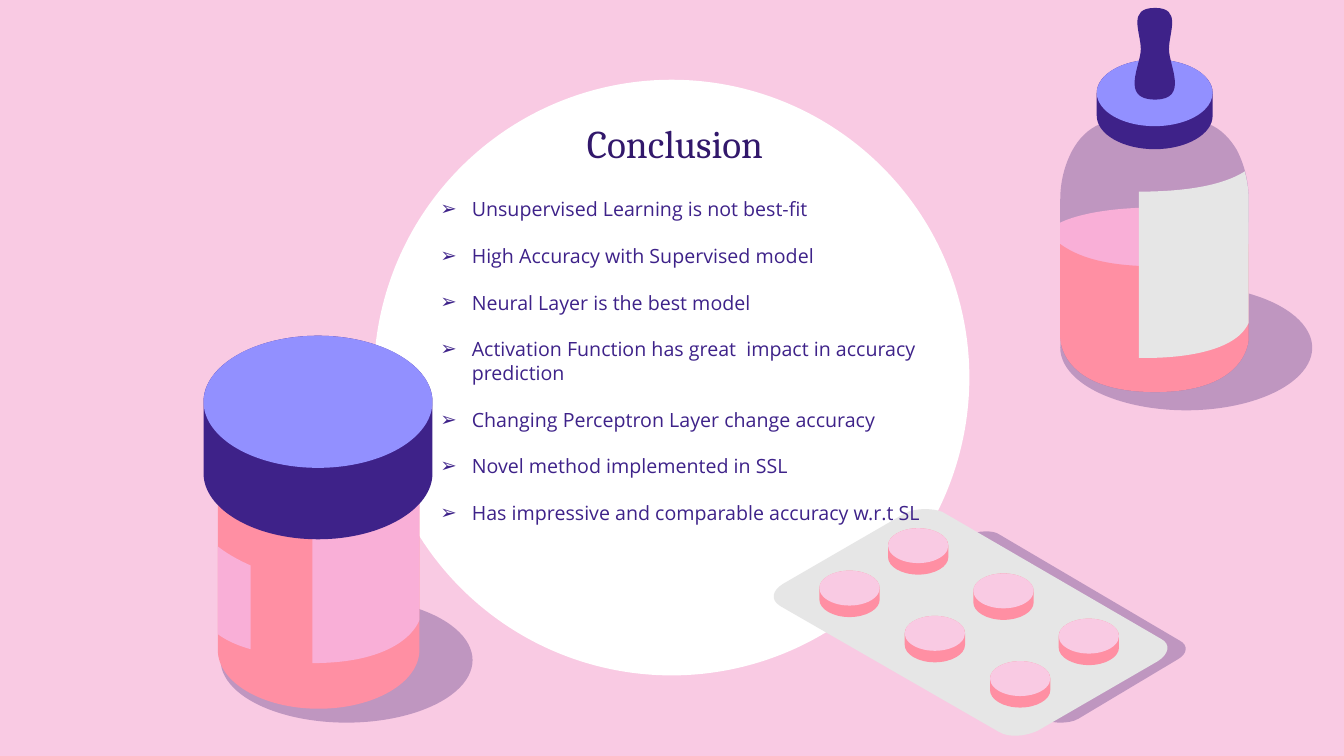
from lxml.etree import SubElement
from pptx import Presentation
from pptx.dml.color import RGBColor
from pptx.enum.shapes import MSO_SHAPE
from pptx.enum.text import MSO_ANCHOR, MSO_AUTO_SIZE, PP_ALIGN
from pptx.oxml.ns import qn
from pptx.util import Cm, Pt

WHITE = RGBColor(0xFF, 0xFF, 0xFF)
BLUSH = RGBColor(0xF9, 0xCA, 0xE3)
PINK = RGBColor(0xF9, 0xAF, 0xD7)
CORAL = RGBColor(0xFF, 0x8F, 0xA3)
GRAY = RGBColor(0xE6, 0xE6, 0xE6)
LILAC = RGBColor(0x92, 0x90, 0xFF)
PURPLE = RGBColor(0x3E, 0x22, 0x89)
INDIGO = RGBColor(0x32, 0x18, 0x6B)
SHADE = 29  # opacity of shadows and glass, in percent
ROUND = 0.55  # handle length of a quarter ellipse

prs = Presentation()
prs.slide_width, prs.slide_height = Cm(33.87), Cm(19.05)
slide = prs.slides.add_slide(prs.slide_layouts[1])
slide.background.fill.solid()
slide.background.fill.fore_color.rgb = BLUSH
shapes = slide.shapes


def paint(shape, color, opacity=100):
    shape.shadow.inherit = False
    shape.line.fill.background()
    shape.fill.solid()
    shape.fill.fore_color.rgb = color
    if opacity < 100:
        tint = shape.fill._xPr.find(qn("a:solidFill"))[0]
        SubElement(tint, qn("a:alpha")).set("val", str(opacity * 1000))


def draw_outline(start, steps, color, opacity=100):
    """Steps in cm: (x, y) is a line, six numbers are a cubic curve."""
    builder = shapes.build_freeform(Cm(start[0]), Cm(start[1]), scale=1.0)
    for step in steps:
        builder.add_line_segments(
            [(Cm(x), Cm(y)) for x, y in zip(step[::2], step[1::2])], close=False)
    builder.add_line_segments([], close=True)
    shape = builder.convert_to_shape()
    # Merge the three segments of each curve into one cubic Bézier
    segments = iter(list(shape._element.iter(qn("a:lnTo"))))
    for step in steps:
        group = [next(segments) for _ in step[::2]]
        if len(group) == 3:
            outline = group[0].getparent()
            curve = SubElement(outline, qn("a:cubicBezTo"))
            group[0].addprevious(curve)
            for segment in group:
                curve.append(segment[0])
                outline.remove(segment)
    paint(shape, color, opacity)


# White disc and the shadows of the two bottles
for x, y, w, h, color, opacity in [
    (9.42, 2.01, 15.01, 15.01, WHITE, 100),
    (5.56, 15.06, 6.35, 3.15, INDIGO, SHADE),
    (26.72, 7.19, 6.35, 3.15, INDIGO, SHADE),
]:
    paint(shapes.add_shape(MSO_SHAPE.OVAL, Cm(x), Cm(y), Cm(w), Cm(h)), color, opacity)

# Pill jar: body, left label, right label
draw_outline((8.03, 10.46), [
    (6.63, 10.46, 5.49, 11.12, 5.49, 11.94), (5.49, 16.38),
    (5.49, 17.2, 6.63, 17.86, 8.03, 17.86),
    (9.43, 17.86, 10.57, 17.2, 10.57, 16.38), (10.57, 11.94),
    (10.57, 11.12, 9.43, 10.46, 8.03, 10.46)], CORAL)
draw_outline((5.49, 13.77), [
    (5.49, 15.98), (5.49, 15.98, 5.77, 16.21, 6.32, 16.36), (6.32, 14.25),
    (6.32, 14.25, 5.84, 14.05, 5.49, 13.77)], PINK)
draw_outline((10.54, 11.81), [
    (7.87, 12.73), (7.87, 16.71), (10.26, 16.71, 10.57, 15.62, 10.57, 15.62),
    (10.57, 11.94)], PINK)

# Blister pack: shadow, tray
draw_outline((24.84, 13.39), [
    (24.66, 13.39, 24.51, 13.44, 24.38, 13.51), (21.87, 14.99),
    (21.62, 15.11, 21.59, 15.34, 21.79, 15.44), (26.37, 18.14),
    (26.47, 18.19, 26.59, 18.21, 26.72, 18.21),
    (26.87, 18.21, 27.05, 18.19, 27.18, 18.11), (29.69, 16.61),
    (29.92, 16.48, 29.95, 16.26, 29.74, 16.15), (25.17, 13.46),
    (25.1, 13.41, 24.97, 13.39, 24.84, 13.39)], INDIGO, SHADE)
draw_outline((23.32, 12.83), [
    (23.14, 12.83, 22.94, 12.85, 22.78, 12.95), (19.74, 14.71),
    (19.46, 14.88, 19.41, 15.11, 19.66, 15.27), (25.17, 18.44),
    (25.3, 18.52, 25.45, 18.54, 25.6, 18.54),
    (25.78, 18.54, 25.98, 18.49, 26.14, 18.42), (29.18, 16.66),
    (29.46, 16.48, 29.51, 16.23, 29.26, 16.1), (23.75, 12.9),
    (23.62, 12.85, 23.47, 12.83, 23.32, 12.83)], GRAY)

# Dropper bottle: glass, liquid surface, liquid
bottle_base = [(26.72, 8.53), (26.72, 8.53, 26.72, 9.88, 29.11, 9.88),
               (31.47, 9.88, 31.47, 8.53, 31.47, 8.53)]
draw_outline((29.11, 2.79), [
    (29.11, 2.79, 28.58, 2.79, 27.74, 3.12), (27.41, 3.25, 27.18, 3.51, 27.03, 3.78),
    (26.82, 4.17, 26.72, 4.6, 26.72, 5.03), *bottle_base, (31.47, 5.03),
    (31.47, 4.6, 31.37, 4.17, 31.17, 3.78), (31.01, 3.51, 30.78, 3.25, 30.45, 3.12),
    (29.62, 2.79, 29.11, 2.79, 29.11, 2.79)], INDIGO, SHADE)
draw_outline((29.11, 5.23), [
    (28.07, 5.23, 27.2, 5.38, 26.72, 5.61), (26.72, 6.35),
    (27.2, 6.6, 28.07, 6.76, 29.11, 6.76), (30.12, 6.76, 31, 6.6, 31.47, 6.35),
    (31.47, 5.61), (31, 5.38, 30.12, 5.23, 29.11, 5.23)], PINK)
draw_outline((26.72, 6.15), [
    *bottle_base, (31.47, 6.15), (31.09, 6.45, 30.38, 6.71, 29.11, 6.71),
    (27.81, 6.71, 27.13, 6.45, 26.72, 6.15)], CORAL)

# Jar cap, bottle collar and pills: a drum with an oval top
drums = [(5.13, 8.46, 5.77, 5.13, 3.33, PURPLE, LILAC),
         (27.64, 1.5, 2.92, 2.26, 1.68, PURPLE, LILAC)]
for row in range(2):
    for col in range(3):
        drums.append((20.65 + 1.73 * row + 2.15 * col, 14.38 - 1.07 * row + 1.14 * col,
                      1.52, 1.17, 0.88, CORAL, BLUSH))
for x, y, w, h, depth, side, top in drums:
    middle, right, bottom = x + w / 2, x + w, y + h
    upper, lower = y + depth / 2, bottom - depth / 2
    reach_x, reach_y = ROUND * w / 2, ROUND * depth / 2
    draw_outline((middle, y), [
        (middle - reach_x, y, x, upper - reach_y, x, upper), (x, lower),
        (x, lower + reach_y, middle - reach_x, bottom, middle, bottom),
        (middle + reach_x, bottom, right, lower + reach_y, right, lower), (right, upper),
        (right, upper - reach_y, middle + reach_x, y, middle, y)], side)
    paint(shapes.add_shape(MSO_SHAPE.OVAL, Cm(x), Cm(y), Cm(w), Cm(depth)), top)

# Dropper bulb and bottle label
draw_outline((29.11, 0.2), [
    (28.4, 0.2, 28.75, 0.81, 28.75, 1.24), (28.75, 1.65, 28.22, 2.51, 29.11, 2.51),
    (29.97, 2.51, 29.46, 1.65, 29.46, 1.24), (29.46, 0.81, 29.79, 0.2, 29.11, 0.2)], PURPLE)
draw_outline((31.37, 4.32), [
    (31.01, 4.55, 30.28, 4.83, 28.7, 4.83), (28.7, 9.02),
    (28.7, 9.02, 28.78, 9.02, 28.91, 9.02), (29.51, 9.02, 31.12, 8.94, 31.47, 8.13),
    (31.47, 5.03), (31.47, 4.8, 31.43, 4.55, 31.37, 4.32)], GRAY)

# Title and conclusions, in front of the drawing
heading, conclusions = shapes.title, slide.placeholders[1]
heading.text_frame.text = "Conclusion"
conclusions.text_frame.text = "\n".join([
    "Unsupervised Learning is not best-fit",
    "High Accuracy with Supervised model",
    "Neural Layer is the best model",
    "Activation Function has great  impact in accuracy prediction",
    "Changing Perceptron Layer change accuracy",
    "Novel method implemented in SSL",
    "Has impressive and comparable accuracy w.r.t SL",
])
for holder, (x, y, w, h), inset, font_name, size, color in [
    (heading, (7.75, 2.67, 18.52, 2.13), 0.33, "Cambria", 28, INDIGO),
    (conclusions, (10.85, 4.83, 13.89, 8.64), 0.13, "Open Sans", 14, PURPLE),
]:
    shapes._spTree.append(holder._element)
    holder.left, holder.top, holder.width, holder.height = Cm(x), Cm(y), Cm(w), Cm(h)
    frame = holder.text_frame
    frame.auto_size = MSO_AUTO_SIZE.NONE
    frame.vertical_anchor = MSO_ANCHOR.TOP
    frame.word_wrap = True
    frame.margin_top = frame.margin_bottom = Cm(inset)
    frame.margin_left = frame.margin_right = Cm(max(inset, 0.25))
    for paragraph in frame.paragraphs:
        font = paragraph.runs[0].font
        font.name, font.size, font.color.rgb = font_name, Pt(size), color
heading.text_frame.paragraphs[0].alignment = PP_ALIGN.CENTER

for paragraph in conclusions.text_frame.paragraphs:
    paragraph.line_spacing = 1.0
    paragraph.space_before, paragraph.space_after = Pt(0), Pt(16.6)
    properties = paragraph._p.get_or_add_pPr()
    properties.set("marL", str(Cm(0.79)))
    properties.set("indent", str(-Cm(0.79)))
    SubElement(properties, qn("a:buChar")).set("char", "➢")

prs.save("out.pptx")
